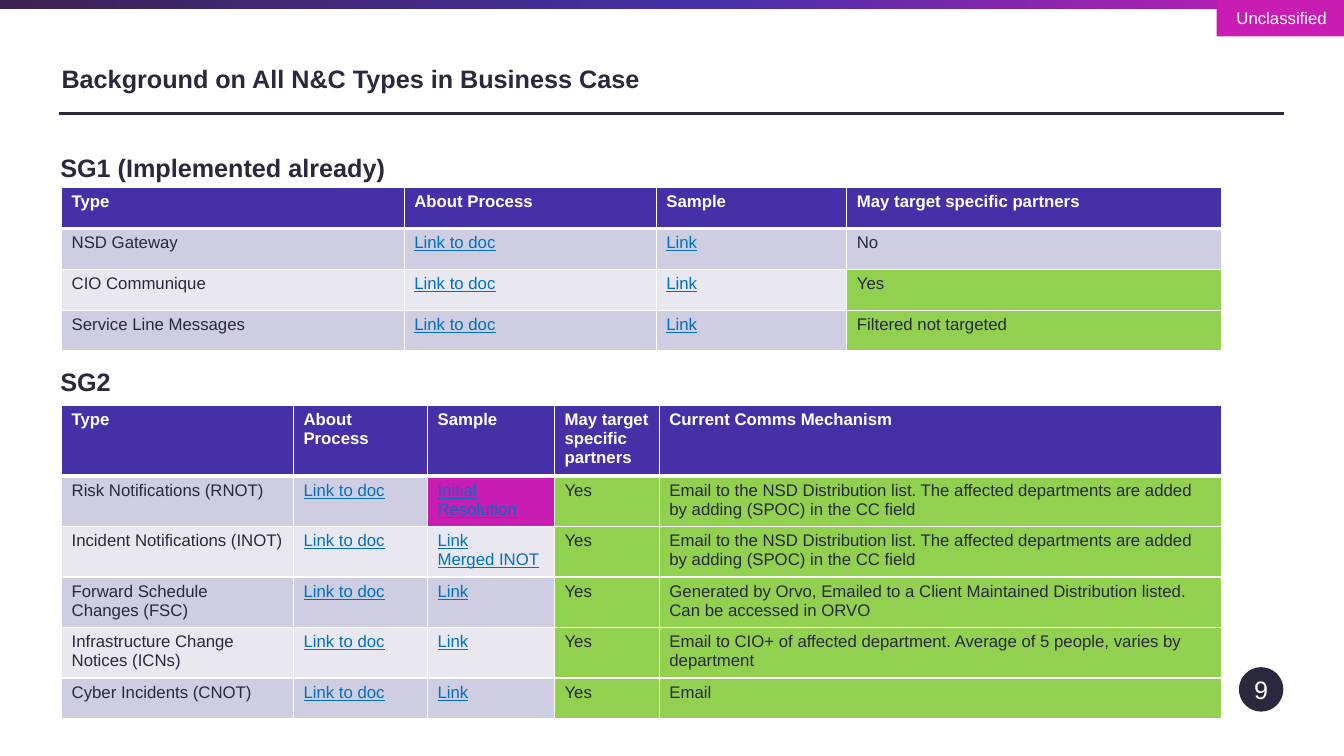
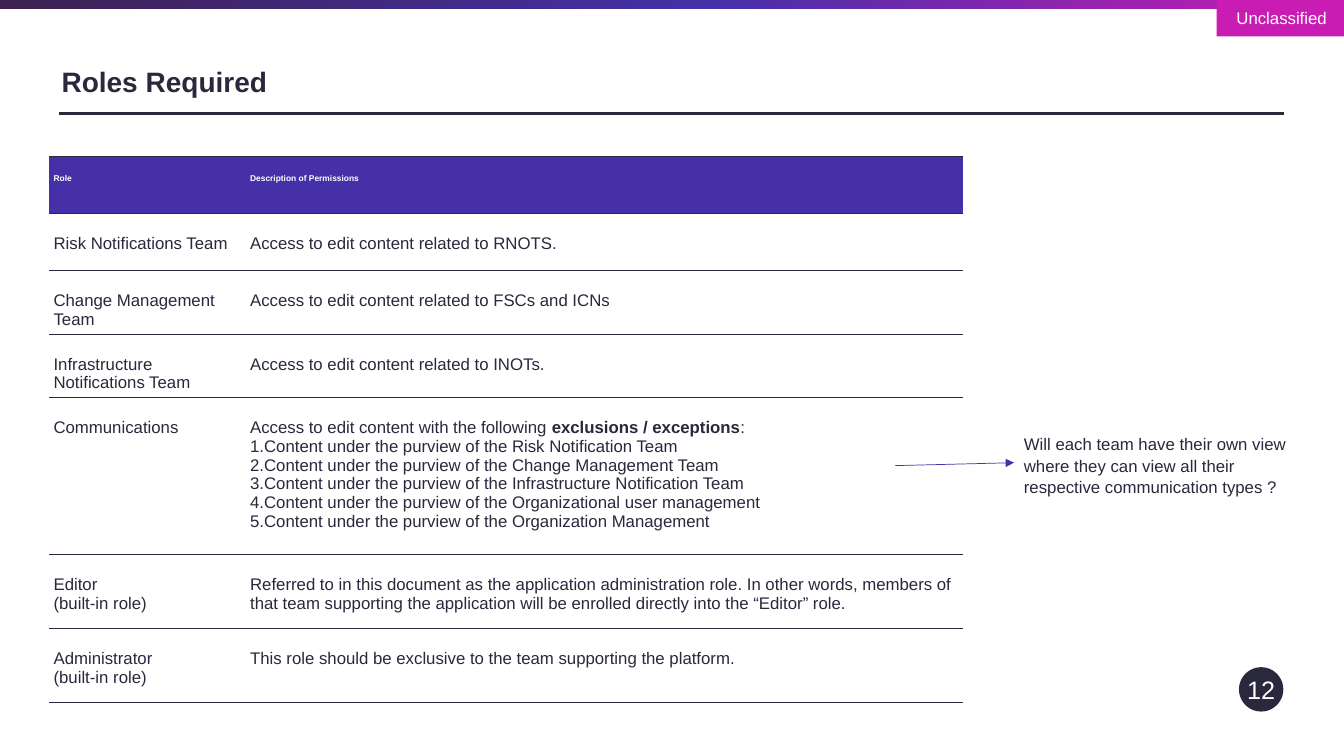
from copy import deepcopy

from lxml.etree import SubElement
from pptx import Presentation
from pptx.dml.color import RGBColor
from pptx.enum.shapes import MSO_CONNECTOR, MSO_SHAPE
from pptx.enum.text import MSO_ANCHOR, PP_ALIGN
from pptx.oxml.ns import qn
from pptx.util import Pt

FONT = "Arial"
INK, WHITE = "2A283C", "FFFFFF"
PURPLE, MAGENTA, TAG_MAGENTA = "4530A8", "C91CB3", "C81CB3"
LINK_BLUE, GREEN = "0070C0", "92D050"
BANDS = ("CFCDE1", "E9E8F1")
BAND_GRADIENT = ((0, "3D2252"), (0.53, PURPLE), (1, MAGENTA))
NO_TABLE_STYLE = "{2D5ABB26-0587-4C30-8999-92F81FD0307C}"
CELL_INSETS = (7.2, 3.6, 7.2, 3.6)


def color(value):
    return RGBColor.from_string(value)


class Deck:
    def __init__(self):
        self.presentation = Presentation()
        self.presentation.slide_width = Pt(960)
        self.presentation.slide_height = Pt(540)
        self.slide = None

    # Text
    def format_run(self, run, size, ink, bold=False, underline=False):
        font = run.font
        font.name, font.size = FONT, Pt(size)
        font.bold, font.underline = bold, underline
        font.color.rgb = color(ink)

    def set_text(self, text_frame, text, size=12, ink=INK, bold=False, underline=False,
                 align=PP_ALIGN.LEFT, spacing=None):
        text_frame.text = text
        for paragraph in text_frame.paragraphs:
            paragraph.alignment = align
            if spacing:
                paragraph.line_spacing = spacing
            for run in paragraph.runs:
                self.format_run(run, size, ink, bold, underline)

    def emphasize(self, paragraph, phrase):
        before, after = paragraph.text.split(phrase)
        paragraph.text = before
        for text in (phrase, after):
            paragraph.add_run().text = text
        for run in paragraph.runs:
            self.format_run(run, 12, INK, bold=run.text == phrase)

    def number(self, paragraphs, indent=10):
        for paragraph in paragraphs:
            properties = paragraph._p.get_or_add_pPr()
            properties.set("marL", str(Pt(indent)))
            properties.set("indent", str(-Pt(indent)))
            SubElement(properties, qn("a:buFont"), typeface=FONT)
            SubElement(properties, qn("a:buAutoNum"), type="arabicPeriod")

    def set_insets(self, holder, insets):
        (holder.margin_left, holder.margin_top,
         holder.margin_right, holder.margin_bottom) = map(Pt, insets)

    def text(self, left, top, width, height, text, insets=CELL_INSETS, wrap=True, **style):
        box = self.slide.shapes.add_textbox(Pt(left), Pt(top), Pt(width), Pt(height))
        box.text_frame.word_wrap = wrap
        self.set_insets(box.text_frame, insets)
        self.set_text(box.text_frame, text, **style)

    # Shapes and lines
    def shape(self, kind, left, top, width, height, fill=None):
        shape = self.slide.shapes.add_shape(kind, Pt(left), Pt(top), Pt(width), Pt(height))
        shape.shadow.inherit = False
        shape.line.fill.background()
        if fill:
            shape.fill.solid()
            shape.fill.fore_color.rgb = color(fill)
        return shape

    def gradient_band(self):
        band = self.shape(MSO_SHAPE.RECTANGLE, 0, 0, 960, 6.5)
        band.fill.gradient()
        band.fill.gradient_angle = 0
        stop_list = band.element.spPr.find(".//" + qn("a:gsLst"))
        stop_list.append(deepcopy(stop_list[0]))
        for stop, (position, value) in zip(band.fill.gradient_stops, BAND_GRADIENT):
            stop.position = position
            stop.color.rgb = color(value)

    def line(self, start, end, ink, width, arrow=False):
        connector = self.slide.shapes.add_connector(
            MSO_CONNECTOR.STRAIGHT, *map(Pt, start + end))
        connector.line.color.rgb = color(ink)
        connector.line.width = Pt(width)
        properties = connector.element.spPr
        if arrow:
            SubElement(properties.find(qn("a:ln")), qn("a:tailEnd"), type="triangle")
        SubElement(properties, qn("a:effectLst"))

    # Tables
    def table(self, left, top, widths, heights):
        table = self.slide.shapes.add_table(
            len(heights), len(widths), Pt(left), Pt(top),
            Pt(sum(widths)), Pt(sum(heights))).table
        table._tbl.tblPr.find(qn("a:tableStyleId")).text = NO_TABLE_STYLE
        table.first_row = table.horz_banding = False
        for column, width in zip(table.columns, widths):
            column.width = Pt(width)
        for row, height in zip(table.rows, heights):
            row.height = Pt(height)
        return table

    def cell(self, cell, text, borders, border_ink, fill=None, insets=CELL_INSETS, **style):
        self.set_text(cell.text_frame, text, **style)
        self.set_insets(cell, insets)
        properties = cell._tc.get_or_add_tcPr()
        for side, width in zip("LRTB", borders):
            border = SubElement(properties, qn("a:ln" + side), w=str(Pt(width)))
            if width:
                solid = SubElement(border, qn("a:solidFill"))
                SubElement(solid, qn("a:srgbClr"), val=border_ink)
            else:
                SubElement(border, qn("a:noFill"))
        if fill:
            cell.fill.solid()
            cell.fill.fore_color.rgb = color(fill)
        else:
            cell.fill.background()

    def type_table(self, top, widths, rows):
        table = self.table(44, top, widths, [29.2] * len(rows))
        for r, row in enumerate(rows):
            borders = (1, 1, 3 if r == 1 else 1, 3 if r == 0 else 1)
            for c, text in enumerate(row):
                is_link = r > 0 and c in (1, 2)
                if r == 0:
                    fill, ink = PURPLE, WHITE
                else:
                    fill = BANDS[(r - 1) % 2]
                    ink = LINK_BLUE if is_link else INK
                    if c >= 3 and text != "No":
                        fill = GREEN
                    elif text.startswith("Initial"):
                        fill = MAGENTA
                self.cell(table.cell(r, c), text, borders, WHITE, fill,
                          ink=ink, bold=r == 0, underline=is_link)

    def role_table(self, rows, heights):
        table = self.table(35.3, 111.7, (140.4, 512), heights)
        for r, row in enumerate(rows):
            header = r == 0
            style = dict(size=6, ink=WHITE, bold=True, fill=PURPLE) if header else {}
            insets = (3, 12.8 if header else 15, 3, 1.4)
            for c, text in enumerate(row):
                self.cell(table.cell(r, c), text, (0, 0, 0.38, 0.38), INK,
                          insets=insets, **style)
        return table

    # Slide frame
    def start_slide(self, title, number, title_size):
        self.slide = self.presentation.slides.add_slide(self.presentation.slide_layouts[6])
        self.gradient_band()
        tag = self.shape(MSO_SHAPE.RECTANGLE, 869, 0, 91, 26, TAG_MAGENTA)
        tag.text_frame.word_wrap = False
        self.set_insets(tag.text_frame, (14.2, 5.7, 11.3, 5.7))
        self.set_text(tag.text_frame, "Unclassified", ink=WHITE)
        self.line((42.5, 81.2), (917.3, 81.2), INK, 2.25)
        self.text(44, 41, 820, 39.6, title, (0, 0, 0, 0),
                  size=title_size, bold=True, spacing=1.2)
        badge = self.shape(MSO_SHAPE.OVAL, 885, 476.6, 31.7, 31.7, INK)
        badge.text_frame.vertical_anchor = MSO_ANCHOR.MIDDLE
        badge.text_frame.word_wrap = False
        self.set_insets(badge.text_frame, (0, 0, 0, 0))
        self.set_text(badge.text_frame, number, size=18, ink=WHITE, align=PP_ALIGN.CENTER)

    def heading(self, top, text):
        self.text(36, top, 250, 29, text, wrap=False, size=18, bold=True)


def build_types_slide(deck):
    deck.start_slide("Background on All N&C Types in Business Case", "9", 18)
    doc = "Link to doc"
    spoc_email = ("Email to the NSD Distribution list. The affected departments "
                  "are added by adding (SPOC) in the CC field")
    deck.heading(105, "SG1 (Implemented already)")
    deck.type_table(134, (244.8, 180, 136.1, 267.8), (
        ("Type", "About Process", "Sample", "May target specific partners"),
        ("NSD Gateway", doc, "Link", "No"),
        ("CIO Communique", doc, "Link", "Yes"),
        ("Service Line Messages", doc, "Link", "Filtered not targeted"),
    ))
    deck.heading(258, "SG2")
    deck.type_table(289.7, (165.6, 95.8, 90.7, 74.9, 401.7), (
        ("Type", "About Process", "Sample", "May target specific partners",
         "Current Comms Mechanism"),
        ("Risk Notifications (RNOT)", doc, "Initial\nResolution", "Yes", spoc_email),
        ("Incident Notifications (INOT)", doc, "Link\nMerged INOT", "Yes", spoc_email),
        ("Forward Schedule\vChanges (FSC)", doc, "Link", "Yes",
         "Generated by Orvo, Emailed to a Client Maintained Distribution listed. "
         "Can be accessed in ORVO"),
        ("Infrastructure Change Notices (ICNs)", doc, "Link", "Yes",
         "Email to CIO+ of affected department. Average of 5 people, "
         "varies by department"),
        ("Cyber Incidents (CNOT)", doc, "Link", "Yes", "Email"),
    ))


def build_roles_slide(deck):
    deck.start_slide("Roles Required", "12", 20)
    areas = ("Risk Notification Team", "Change Management Team",
             "Infrastructure Notification Team", "Organizational user management",
             "Organization Management")
    exclusions = ["Access to edit content with the following exclusions / exceptions:"]
    exclusions += [f"Content under the purview of the {area}" for area in areas]
    table = deck.role_table((
        ("Role", "Description of Permissions"),
        ("Risk Notifications Team", "Access to edit content related to RNOTS."),
        ("Change Management Team", "Access to edit content related to FSCs and ICNs"),
        ("Infrastructure Notifications Team", "Access to edit content related to INOTs."),
        ("Communications", "\n".join(exclusions)),
        ("Editor\n(built-in role)",
         "Referred to in this document as the application administration role. "
         "In other words, members of that team supporting the application will be "
         "enrolled directly into the “Editor” role."),
        ("Administrator\n(built-in role)",
         "This role should be exclusive to the team supporting the platform."),
    ), [40.8] * 4 + [112.3, 52.9, 52.9])
    intro, *items = table.cell(4, 1).text_frame.paragraphs
    deck.emphasize(intro, "exclusions / exceptions")
    deck.number(items)

    # Side question
    deck.text(724.3, 305.3, 211, 51, "Will each team have their own view where they can "
              "view all their respective communication types ?", spacing=1.07)
    deck.line((639.4, 332.6), (724.3, 330.5), PURPLE, 0.5, arrow=True)


def main():
    deck = Deck()
    build_types_slide(deck)
    build_roles_slide(deck)
    deck.presentation.save("out.pptx")


if __name__ == "__main__":
    main()
